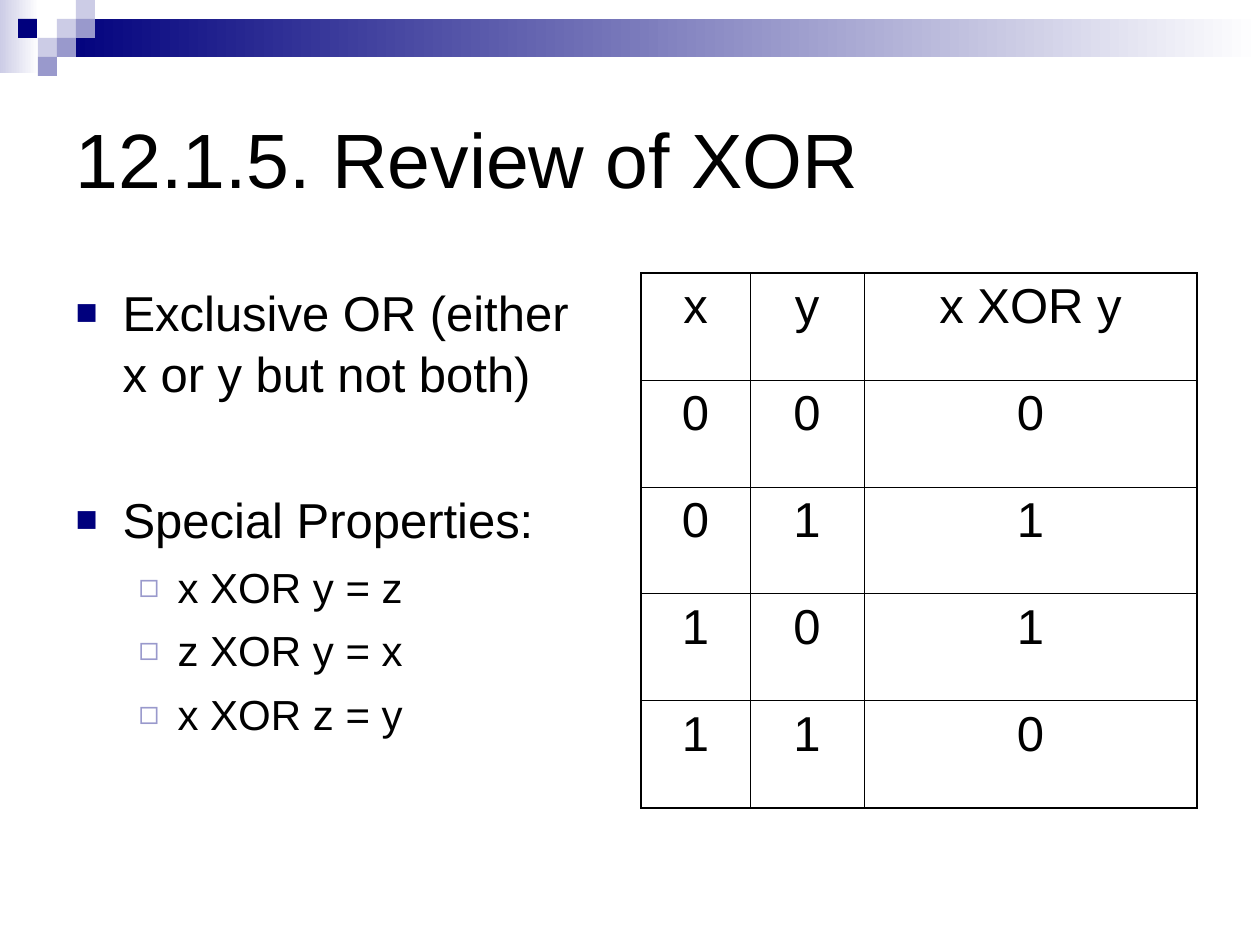
from pptx import Presentation
from pptx.dml.color import RGBColor
from pptx.enum.shapes import MSO_SHAPE
from pptx.enum.text import MSO_ANCHOR, MSO_AUTO_SIZE, PP_ALIGN
from pptx.oxml.ns import qn
from pptx.util import Pt
from lxml.etree import SubElement

PX = 914400 / 126
HUE = {"ink": "000000", "paper": "FFFFFF", "navy": "00007D",
       "mid": "9999CC", "pale": "CCCCE6"}


def box(*sizes):
    return [round(n * PX) for n in sizes]


def write(para, text, size, gap):
    para.space_before = Pt(gap)
    run = para.add_run()
    run.text = text
    run.font.size = Pt(size)
    run.font.name = "Arial"
    run.font.color.rgb = RGBColor.from_string(HUE["ink"])


deck = Presentation()
deck.slide_width, deck.slide_height = box(1260, 945)
slide = deck.slides.add_slide(deck.slide_layouts[1])
title, body = slide.placeholders

# Header band: two fading bars, then a mosaic of squares
SIDE = 19
parts = [((0, 0, 39, 73), "pale", True), ((57, 19, 1203, 38), "navy", True)]
for left, top, hue in [(57, 19, "pale"), (76, 0, "pale"), (76, 19, "mid"),
                       (38, 38, "pale"), (18, 19, "navy"), (57, 38, "mid"),
                       (38, 57, "mid")]:
    parts.append(((left, top, SIDE, SIDE), hue, False))
for place, hue, fade in parts:
    shape = slide.shapes.add_shape(MSO_SHAPE.RECTANGLE, *box(*place))
    shape.shadow.inherit = False
    shape.line.fill.background()
    color = RGBColor.from_string(HUE[hue])
    if fade:
        shape.fill.gradient()
        shape.fill.gradient_angle = 180
        first, last = shape.fill.gradient_stops
        first.color.rgb = RGBColor.from_string(HUE["paper"])
        first.position = 0
        last.color.rgb = color
        last.position = 1
    else:
        shape.fill.solid()
        shape.fill.fore_color.rgb = color

# Title and list frames
for holder, place, anchor in [(title, (63, 63, 1134, 189), MSO_ANCHOR.MIDDLE),
                              (body, (63, 273, 556, 536), MSO_ANCHOR.TOP)]:
    holder.left, holder.top, holder.width, holder.height = box(*place)
    frame = holder.text_frame
    frame.auto_size = MSO_AUTO_SIZE.NONE
    frame.word_wrap = True
    frame.vertical_anchor = anchor

head = title.text_frame.paragraphs[0]
head.alignment = PP_ALIGN.LEFT
write(head, "12.1.5. Review of XOR", 44, 0)

# List: text, level, space before
items = [("Exclusive OR (either x or y but not both)", 0, 7),
         ("Special Properties:", 0, 48),
         ("x XOR y = z", 1, 6),
         ("z XOR y = x", 1, 6),
         ("x XOR z = y", 1, 6)]
# Level style: size, margin, hang, bullet, bullet colour, bullet percent
styles = [(28, 47, 47, "■", "navy", 75), (24, 102, 39, "◻", "mid", 80)]
for i, (text, level, gap) in enumerate(items):
    size, margin, hang, mark, hue, share = styles[level]
    para = body.text_frame.add_paragraph() if i else body.text_frame.paragraphs[0]
    para.level = level
    para.line_spacing = 1.05
    write(para, text, size, gap)
    props = para._p.get_or_add_pPr()
    inset, dent = box(margin, -hang)
    props.set("marL", str(inset))
    props.set("indent", str(dent))
    SubElement(SubElement(props, qn("a:buClr")), qn("a:srgbClr"), val=HUE[hue])
    SubElement(props, qn("a:buSzPct"), val=str(share * 1000))
    SubElement(props, qn("a:buFont"), typeface="Arial")
    SubElement(props, qn("a:buChar"), char=mark)

# Truth table, worked out from the two inputs
rows = [("x", "y", "x XOR y")]
rows += [(x, y, x ^ y) for x in (0, 1) for y in (0, 1)]
wide, high = (109, 114, 333), 107
table = slide.shapes.add_table(
    len(rows), len(wide), *box(641, 273, sum(wide), high * len(rows))).table
table.first_row = table.horz_banding = False
for col, width in zip(table.columns, wide):
    col.width = box(width)[0]
for r, row in enumerate(rows):
    table.rows[r].height = box(high)[0]
    for c, value in enumerate(row):
        cell = table.cell(r, c)
        para = cell.text_frame.paragraphs[0]
        para.alignment = PP_ALIGN.CENTER
        write(para, str(value), 28, 7)
        # Outer edges are thicker than inner ones
        props = cell._tc.get_or_add_tcPr()
        edges = [("L", c == 0), ("R", c == len(wide) - 1),
                 ("T", r == 0), ("B", r == len(rows) - 1)]
        for side, outer in edges:
            line = SubElement(props, qn("a:ln" + side),
                              w=str(Pt(1.08 if outer else 0.45)))
            paint = SubElement(line, qn("a:solidFill"))
            SubElement(paint, qn("a:srgbClr"), val=HUE["ink"])
        cell.fill.background()

deck.save("out.pptx")
